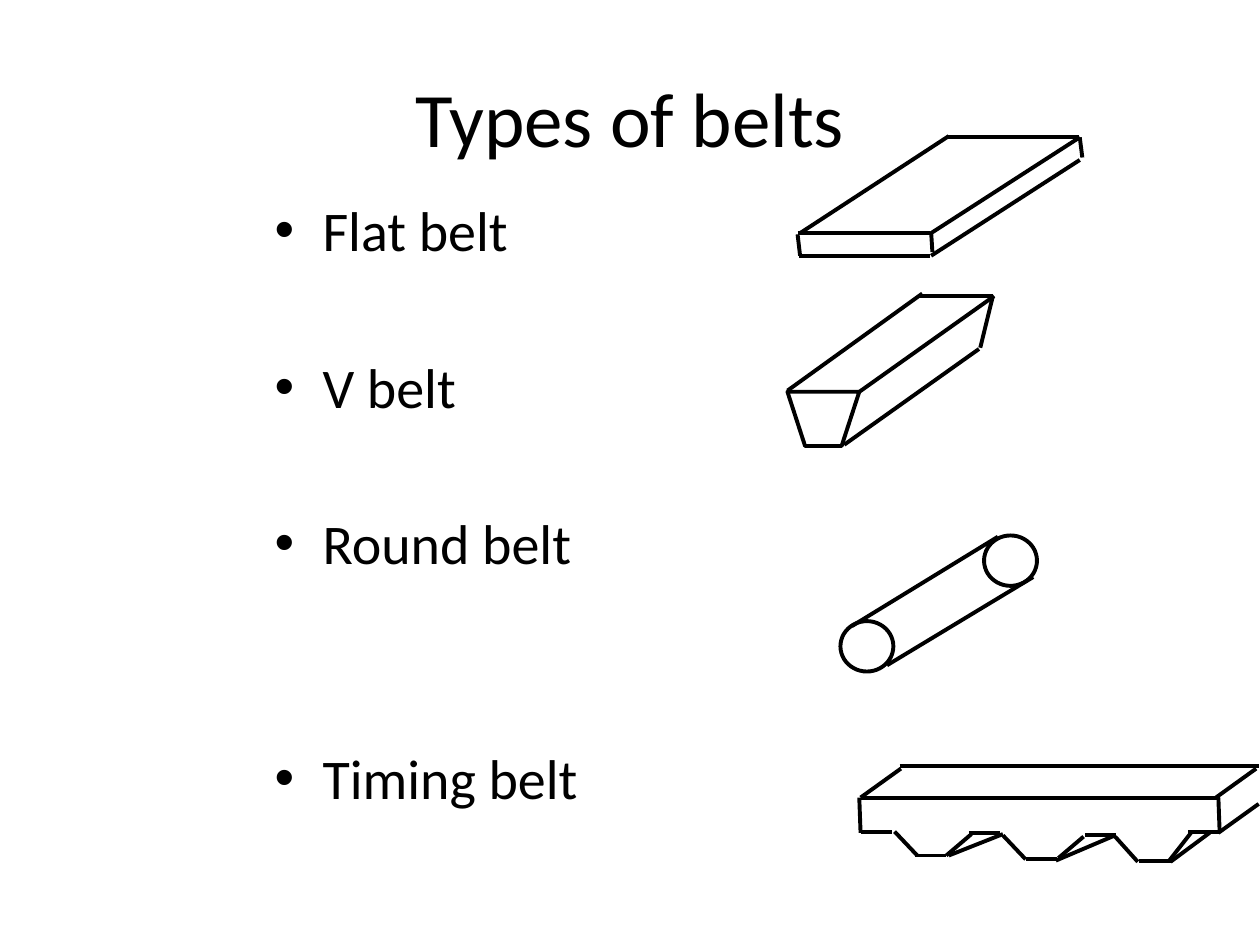
"""Build the slide "Types of belts" with a line sketch of each belt."""
from lxml import etree
from pptx import Presentation, util as u
from pptx.dml.color import RGBColor
from pptx.enum import shapes, text
from pptx.oxml.ns import qn

BLACK = RGBColor(0, 0, 0)
FONT = "Calibri"
LINE_WIDTH = u.Pt(2.25)

TITLE = "Types of belts"
BELTS = [("Flat belt", 0), ("V belt", 51.2), ("Round belt", 51.2), ("Timing belt", 95.8)]

SKETCHES = {
    "Flat belt": {"lines": [
        (6.33, 1.85, 7.38, 1.85), (6.34, 2.03, 7.38, 2.03), (6.35, 1.85, 7.53, 1.08),
        (7.52, 1.09, 8.56, 1.09), (7.39, 1.85, 8.57, 1.09), (7.39, 2.03, 8.57, 1.27),
        (6.35, 2.03, 6.33, 1.86), (7.4, 2, 7.39, 1.84), (8.59, 1.25, 8.57, 1.09)]},
    "V belt": {
        "outline": [(6.25, 3.11), (6.39, 3.54), (6.68, 3.54), (6.82, 3.11)],
        "lines": [
            (6.25, 3.1, 7.32, 2.33), (6.82, 3.11, 7.89, 2.35), (7.29, 2.35, 7.88, 2.35),
            (6.7, 3.53, 7.77, 2.77), (7.88, 2.35, 7.78, 2.76)]},
    "Round belt": {
        "circles": [(6.67, 4.93), (7.81, 4.25)],
        "lines": [(6.76, 4.97, 7.92, 4.26), (7.04, 5.28, 8.2, 4.58)]},
    "Timing belt": {"lines": [
        (6.83, 6.33, 9.68, 6.33), (7.14, 6.08, 9.99, 6.08), (7.15, 6.1, 6.83, 6.33),
        (9.97, 6.1, 9.65, 6.33), (6.82, 6.33, 6.83, 6.61), (9.67, 6.33, 9.68, 6.61),
        (9.99, 6.38, 9.67, 6.61), (6.83, 6.6, 7.08, 6.6), (9.43, 6.6, 9.68, 6.6),
        (7.26, 6.79, 7.51, 6.79), (8.14, 6.82, 8.39, 6.82), (9.04, 6.83, 9.29, 6.83),
        (7.1, 6.6, 7.28, 6.79), (7.69, 6.61, 7.94, 6.61), (7.51, 6.79, 7.71, 6.62),
        (7.96, 6.63, 8.14, 6.82), (8.4, 6.81, 8.6, 6.64), (8.61, 6.63, 8.86, 6.63),
        (8.85, 6.64, 9.03, 6.84), (9.28, 6.83, 9.46, 6.6), (7.53, 6.79, 7.96, 6.62),
        (8.38, 6.83, 8.85, 6.63), (9.29, 6.84, 9.6, 6.61)]},
}
CIRCLE_SIZE = (0.42, 0.4)


def inches(values):
    return [u.Inches(v) for v in values]


def place(sp, left, top, width, height, anchor):
    sp.left, sp.top, sp.width, sp.height = inches((left, top, width, height))
    tf = sp.text_frame
    tf.word_wrap = True
    tf.auto_size = text.MSO_AUTO_SIZE.NONE
    tf.vertical_anchor = anchor
    return tf


def write(p, words, size, align, before=0, bullet=False):
    p.alignment = align
    p.space_before = u.Pt(before)
    if bullet:
        props = p._p.get_or_add_pPr()
        props.set("marL", str(u.Inches(0.38)))
        props.set("indent", str(u.Inches(-0.38)))
        etree.SubElement(props, qn("a:buChar")).set("char", "•")
    r = p.add_run()
    r.text = words
    r.font.size, r.font.name = u.Pt(size), FONT
    r.font.color.rgb = BLACK


def stroke(sp):
    sp.line.color.rgb = BLACK
    sp.line.width = LINE_WIDTH


def hollow(sp):
    sp.fill.background()
    sp.shadow.inherit = False
    stroke(sp)


def draw(slide, outline=(), circles=(), lines=()):
    group = slide.shapes.add_group_shape()
    if outline:
        start, *rest = [inches(point) for point in outline]
        builder = group.shapes.build_freeform(*start)
        builder.add_line_segments(rest, close=True)
        hollow(builder.convert_to_shape())
    for corner in circles:
        hollow(group.shapes.add_shape(shapes.MSO_SHAPE.OVAL, *inches(corner + CIRCLE_SIZE)))
    for ends in lines:
        line = group.shapes.add_connector(shapes.MSO_CONNECTOR.STRAIGHT, *inches(ends))
        stroke(line)
        etree.SubElement(line._element.spPr, qn("a:effectLst"))


def main():
    prs = Presentation()
    prs.slide_width, prs.slide_height = inches((10, 7.5))
    s = prs.slides.add_slide(prs.slide_layouts[1])

    tf = place(s.shapes.title, 0.5, 0.3, 9, 1.25, text.MSO_ANCHOR.MIDDLE)
    write(tf.paragraphs[0], TITLE, 44, text.PP_ALIGN.CENTER)

    tf = place(s.placeholders[1], 2.08, 1.5, 7.92, 5.25, text.MSO_ANCHOR.TOP)
    for i, (belt, before) in enumerate(BELTS):
        p = tf.add_paragraph() if i else tf.paragraphs[0]
        write(p, belt, 32, text.PP_ALIGN.LEFT, before=before, bullet=True)

    for parts in SKETCHES.values():
        draw(s, **parts)
    prs.save("out.pptx")


if __name__ == "__main__":
    main()
